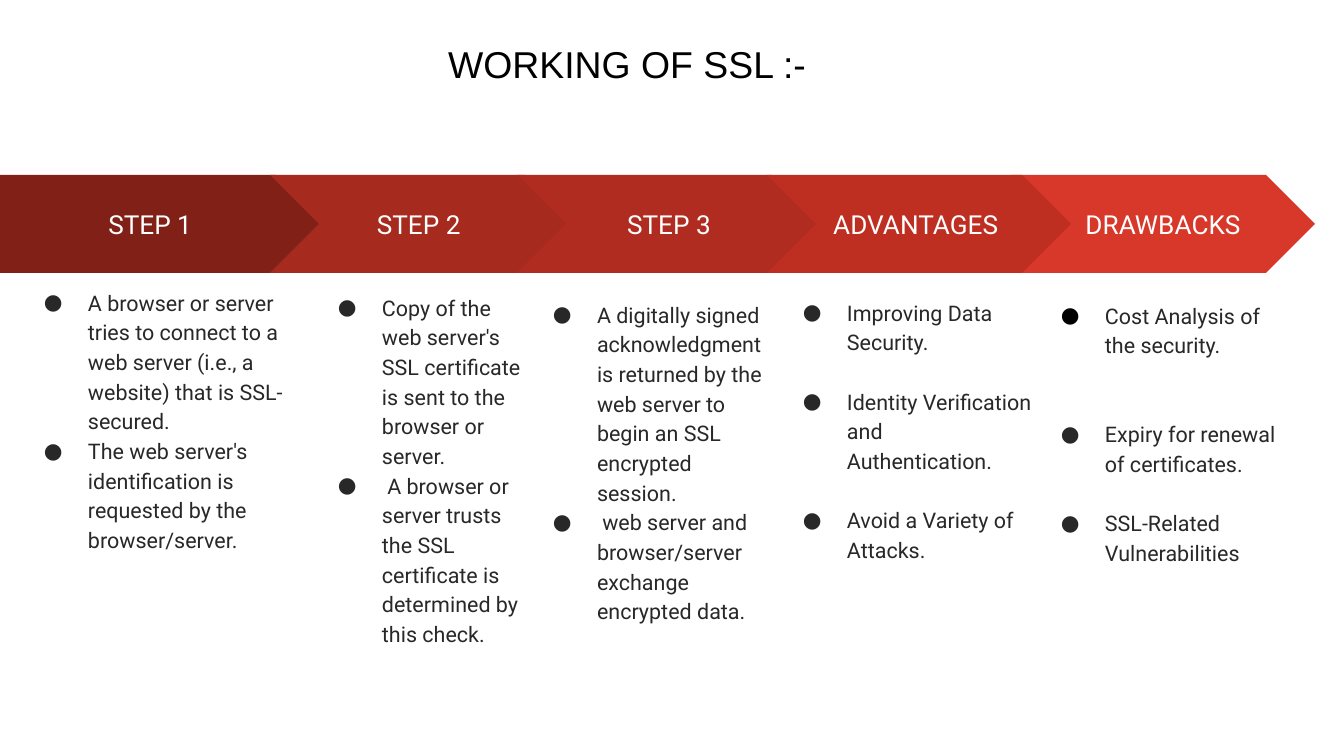
"""Build a slide of five chevron headings with bulleted lists on the working of SSL."""
from lxml.etree import SubElement
from pptx import Presentation
from pptx.dml.color import RGBColor
from pptx.enum.shapes import MSO_SHAPE as Preset
from pptx.enum.text import MSO_ANCHOR as Anchor, MSO_AUTO_SIZE as AutoSize, PP_ALIGN as Align
from pptx.oxml.ns import qn
from pptx.util import Emu, Pt

COLORS = {
    "title": "000000", "heading": "FFFFFF", "text": "282829",
    "step 1": "802017", "step 2": "A72A1E", "step 3": "B02C20",
    "advantages": "BE2F22", "drawbacks": "D83829",
}
INSET = 13
BANNER_TOP, BANNER_HEIGHT = 175, 98
LINE_HEIGHT = 15.9


def px(*lengths):
    """Turn picture pixels into EMU."""
    return [Emu(round(length * 914400 / 134.4)) for length in lengths]


def prepare(shape, anchor):
    """Set the wrapping, insets and anchor of a shape's text."""
    frame = shape.text_frame
    frame.word_wrap = True
    frame.auto_size = AutoSize.NONE
    frame.vertical_anchor = anchor
    frame.margin_left, frame.margin_top, frame.margin_right, frame.margin_bottom = px(*[INSET] * 4)
    return frame


presentation = Presentation()
presentation.slide_width, presentation.slide_height = px(1344, 756)
layout = presentation.slide_layouts[1]
slide = presentation.slides.add_slide(layout)

title = slide.shapes.title
title.left, title.top, title.width, title.height = px(435, 28, 593, 73)
title_frame = prepare(title, Anchor.TOP)
title_frame.text = "WORKING OF SSL :-"
paragraph = title_frame.paragraphs[0]
paragraph.alignment = Align.LEFT
paragraph.font.name, paragraph.font.size = "Arial", Pt(20)
paragraph.font.color.rgb = RGBColor.from_string(COLORS["title"])

# heading, colour, banner left and width, list box, items as (blank lines before, bullet colour, text)
columns = [
    ("STEP 1", "step 1", 0, 325, (8, 273, 319, 345), [
        (0, "text", "A browser or server tries to connect to a web server (i.e., a website) that is SSL-secured."),
        (0, "text", "The web server's identification is requested by the browser/server."),
    ]),
    ("STEP 2 ", "step 2", 270, 304, (302, 278, 239, 345), [
        (0, "text", "Copy of the web server's SSL certificate is sent to the browser or server."),
        (0, "text", " A browser or server trusts the SSL certificate is determined by this check."),
    ]),
    ("STEP 3", "step 3", 517, 304, (517, 285, 263, 345), [
        (0, "text", "A digitally signed acknowledgment is returned by the web server "
                    "to begin an SSL encrypted session."),
        (0, "text", " web server and browser/server exchange encrypted data."),
    ]),
    ("DRAWBACKS", "drawbacks", 1011, 304, (1025, 286, 274, 382), [
        (0, "title", "Cost Analysis of the security."),
        (2, "text", "Expiry for renewal of certificates."),
        (1, "text", "SSL-Related Vulnerabilities"),
    ]),
    ("ADVANTAGES ", "advantages", 767, 304, (767, 283, 278, 384), [
        (0, "text", "Improving Data Security."),
        (1, "text", "Identity Verification and Authentication."),
        (1, "text", "Avoid a Variety of Attacks."),
    ]),
]

for _ in columns[1:]:
    slide.shapes.clone_placeholder(layout.placeholders[1])
bodies = [shape for shape in slide.placeholders if shape.shape_id != title.shape_id]

for body, (heading, color, left, width, box, items) in zip(bodies, columns):
    preset = Preset.PENTAGON if left == 0 else Preset.CHEVRON
    banner = slide.shapes.add_shape(preset, *px(left, BANNER_TOP, width, BANNER_HEIGHT))
    banner.shadow.inherit = False
    banner.fill.solid()
    banner.fill.fore_color.rgb = RGBColor.from_string(COLORS[color])
    banner.line.fill.background()
    banner_frame = prepare(banner, Anchor.MIDDLE)
    banner_frame.text = heading
    paragraph = banner_frame.paragraphs[0]
    paragraph.alignment = Align.CENTER
    paragraph.font.name, paragraph.font.size = "Roboto", Pt(14)
    paragraph.font.color.rgb = RGBColor.from_string(COLORS["heading"])

    body.left, body.top, body.width, body.height = px(*box)
    body_frame = prepare(body, Anchor.TOP)
    body_frame.text = "\n".join(text for _, _, text in items)
    for paragraph, (blank_lines, bullet_color, _) in zip(body_frame.paragraphs, items):
        properties = paragraph._p.get_or_add_pPr()
        margin, indent = px(67, -44)
        properties.set("marL", str(margin))
        properties.set("indent", str(indent))
        bullet_fill = SubElement(properties, qn("a:buClr"))
        SubElement(bullet_fill, qn("a:srgbClr"), val=COLORS[bullet_color])
        SubElement(properties, qn("a:buFont"), typeface="Roboto")
        SubElement(properties, qn("a:buChar"), char="●")
        paragraph.line_spacing = 1.15
        paragraph.space_before = Pt(blank_lines * LINE_HEIGHT)
        paragraph.font.name, paragraph.font.size = "Roboto", Pt(11.5)
        paragraph.font.color.rgb = RGBColor.from_string(COLORS["text"])

presentation.save("out.pptx")
